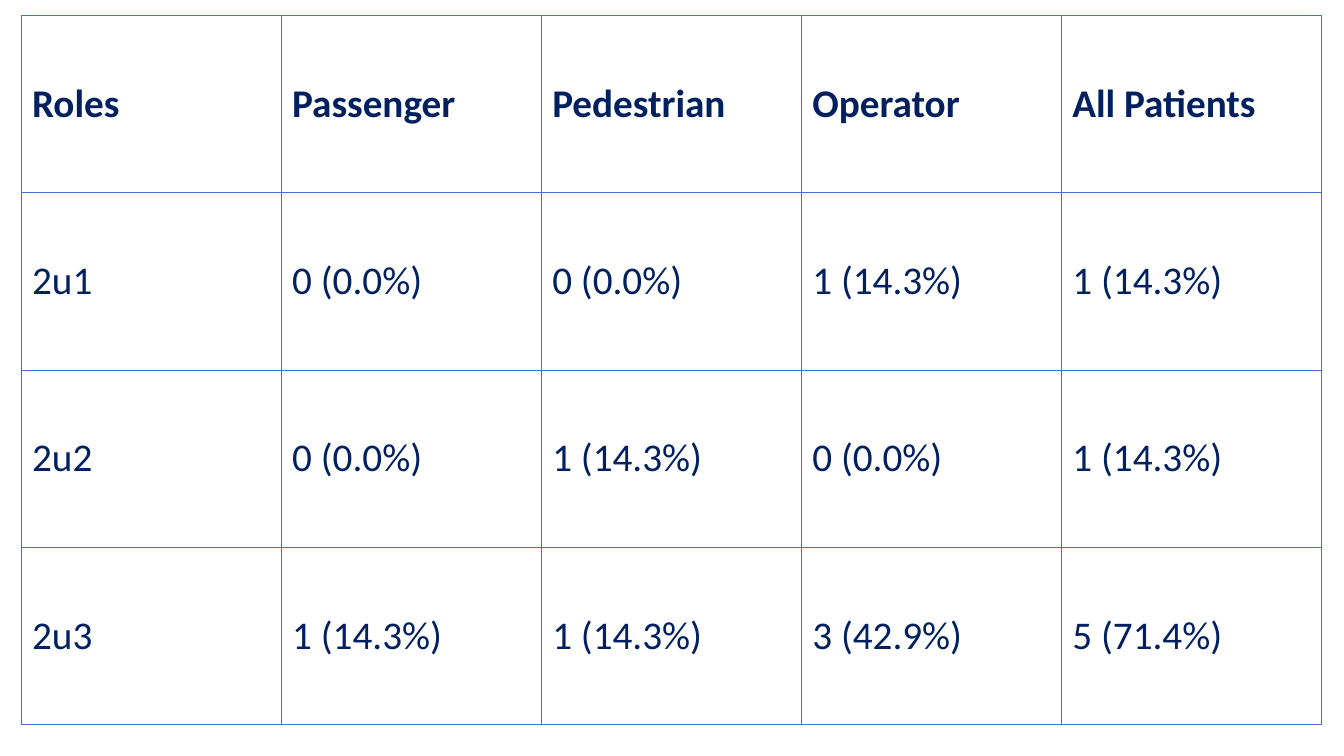
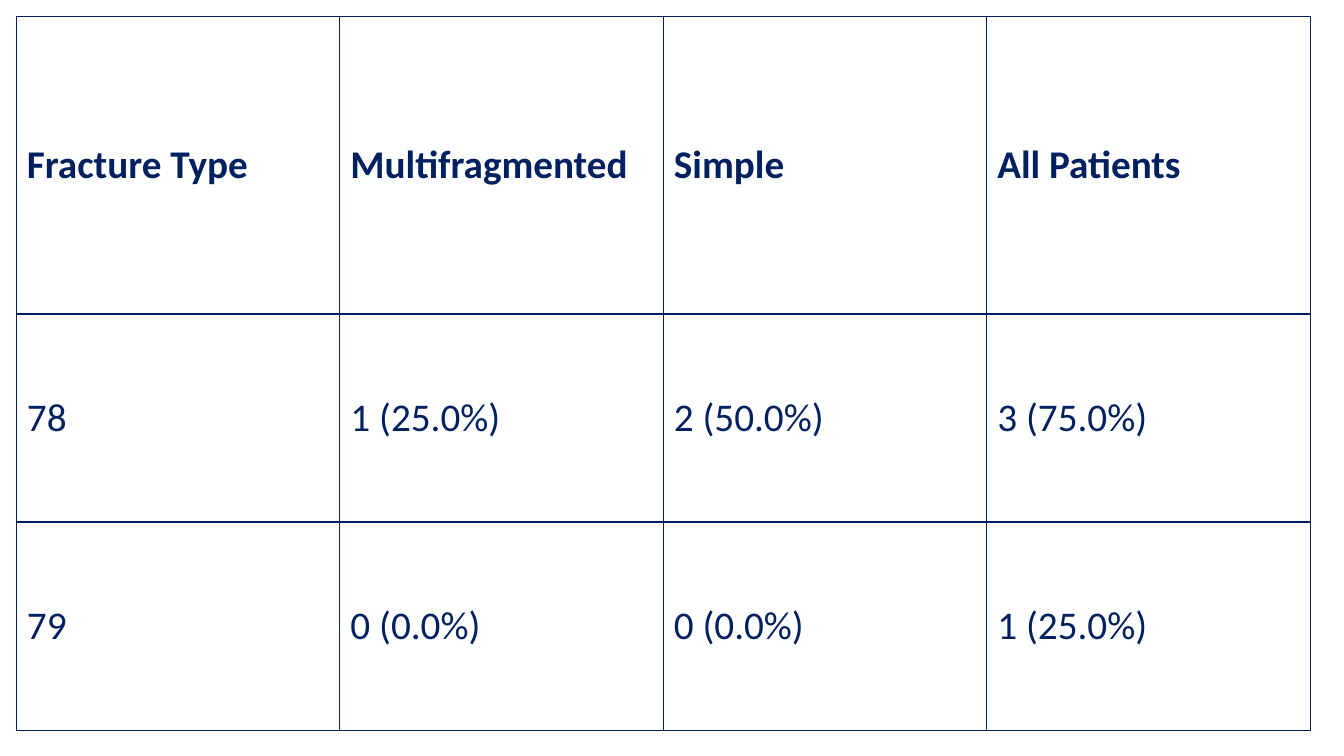
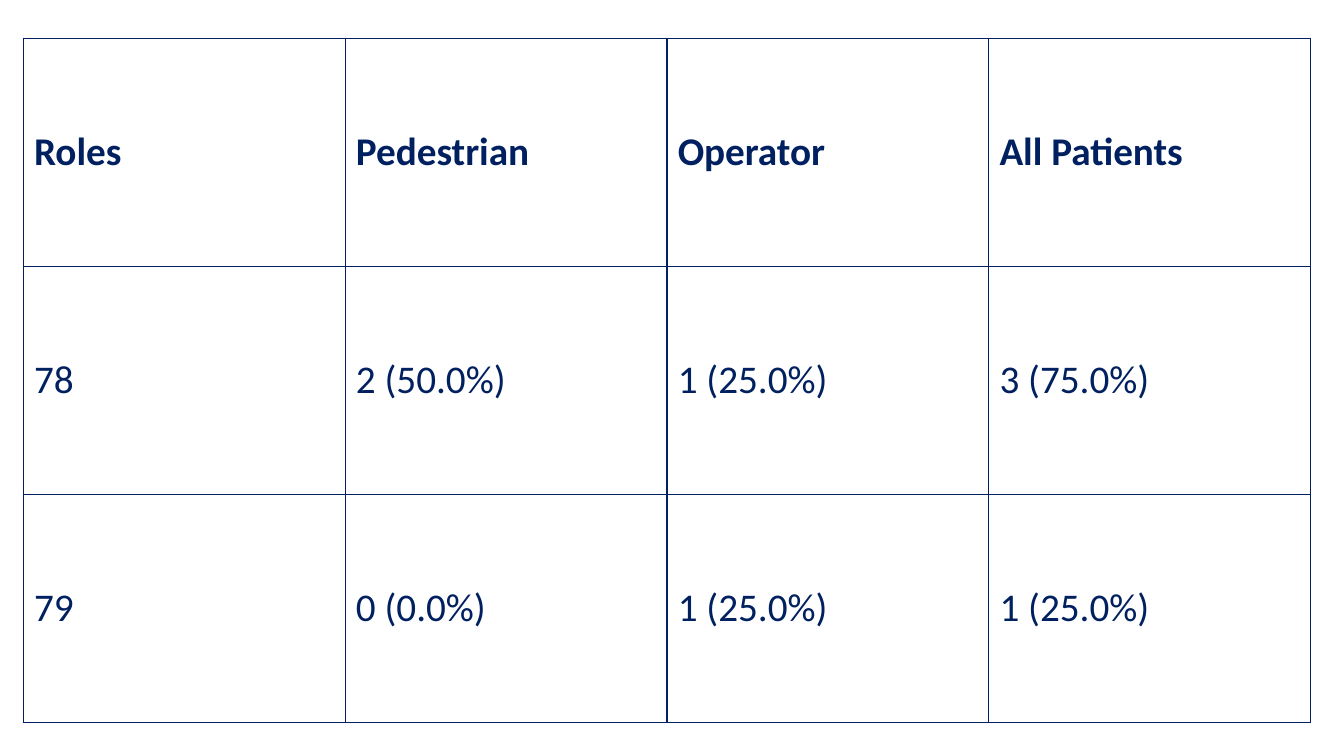
from lxml.etree import SubElement
from pptx import Presentation
from pptx.dml.color import RGBColor
from pptx.enum.text import MSO_ANCHOR as Anchor, PP_ALIGN as Align
from pptx.oxml.ns import qn
from pptx.util import Cm, Pt

COLORS = {"navy": "002060", "blue": "4472C4", "white": "FFFFFF"}
BLANK_LAYOUT = 6


def write_text(frame, text, *, font="Calibri", size=28, color="navy", bold=False):
    paragraph = frame.paragraphs[0]
    paragraph.alignment = Align.LEFT
    run = paragraph.add_run()
    run.text = text
    run.font.name = font
    run.font.size = Pt(size)
    run.font.bold = bold
    run.font.color.rgb = RGBColor.from_string(COLORS[color])


class PatientDeck:
    side_inset = Cm(0.27)
    end_inset = Cm(0.13)

    def __init__(self):
        self.deck = Presentation()
        self.deck.slide_width = Cm(33.87)
        self.deck.slide_height = Cm(19.05)
        self.slide = None

    def new_slide(self):
        self.slide = self.deck.slides.add_slide(self.deck.slide_layouts[BLANK_LAYOUT])

    def borders(self, cell, color, width):
        properties = cell._tc.get_or_add_tcPr()
        for edge in ("a:lnL", "a:lnR", "a:lnT", "a:lnB"):
            line = SubElement(properties, qn(edge), w=str(Pt(width)))
            fill = SubElement(line, qn("a:solidFill"))
            SubElement(fill, qn("a:srgbClr"), val=COLORS[color])

    def cell(self, cell, text, *, header, border, border_width):
        self.borders(cell, border, border_width)
        cell.fill.solid()
        cell.fill.fore_color.rgb = RGBColor.from_string(COLORS["white"])
        cell.vertical_anchor = Anchor.MIDDLE
        cell.margin_left = cell.margin_right = self.side_inset
        cell.margin_top = cell.margin_bottom = self.end_inset
        write_text(cell.text_frame, text, bold=header)

    def table(self, records, left, top, width, height, *,
              header_share=1, border="navy", border_width=1):
        row_count, column_count = len(records), len(records[0])
        table = self.slide.shapes.add_table(
            row_count, column_count, Cm(left), Cm(top), Cm(width), Cm(height)).table
        table.horz_banding = False
        table.first_row = False
        for column in table.columns:
            column.width = Cm(width / column_count)
        body_height = height / (row_count - 1 + header_share)
        for index, (row, record) in enumerate(zip(table.rows, records)):
            header = index == 0
            row.height = Cm(body_height * (header_share if header else 1))
            for cell, text in zip(row.cells, record):
                self.cell(cell, text, header=header,
                          border=border, border_width=border_width)

    def save(self):
        self.deck.save("out.pptx")


ROLES_BY_2U = [
    ["Roles", "Passenger", "Pedestrian", "Operator", "All Patients"],
    ["2u1", "0 (0.0%)", "0 (0.0%)", "1 (14.3%)", "1 (14.3%)"],
    ["2u2", "0 (0.0%)", "1 (14.3%)", "0 (0.0%)", "1 (14.3%)"],
    ["2u3", "1 (14.3%)", "1 (14.3%)", "3 (42.9%)", "5 (71.4%)"],
]
FRACTURE_TYPES = [
    ["Fracture Type", "Multifragmented", "Simple", "All Patients"],
    ["78", "1 (25.0%)", "2 (50.0%)", "3 (75.0%)"],
    ["79", "0 (0.0%)", "0 (0.0%)", "1 (25.0%)"],
]
ROLES_BY_78_79 = [
    ["Roles", "Pedestrian", "Operator", "All Patients"],
    ["78", "2 (50.0%)", "1 (25.0%)", "3 (75.0%)"],
    ["79", "0 (0.0%)", "1 (25.0%)", "1 (25.0%)"],
]


def main():
    deck = PatientDeck()
    deck.new_slide()
    deck.table(ROLES_BY_2U, 0.54, 0.39, 32.77, 17.86, border="blue", border_width=0.5)
    deck.new_slide()
    deck.table(FRACTURE_TYPES, 0.41, 0.41, 32.61, 17.99, header_share=1.43)
    deck.new_slide()
    deck.table(ROLES_BY_78_79, 0.59, 0.96, 32.44, 17.25)
    deck.save()


if __name__ == "__main__":
    main()
